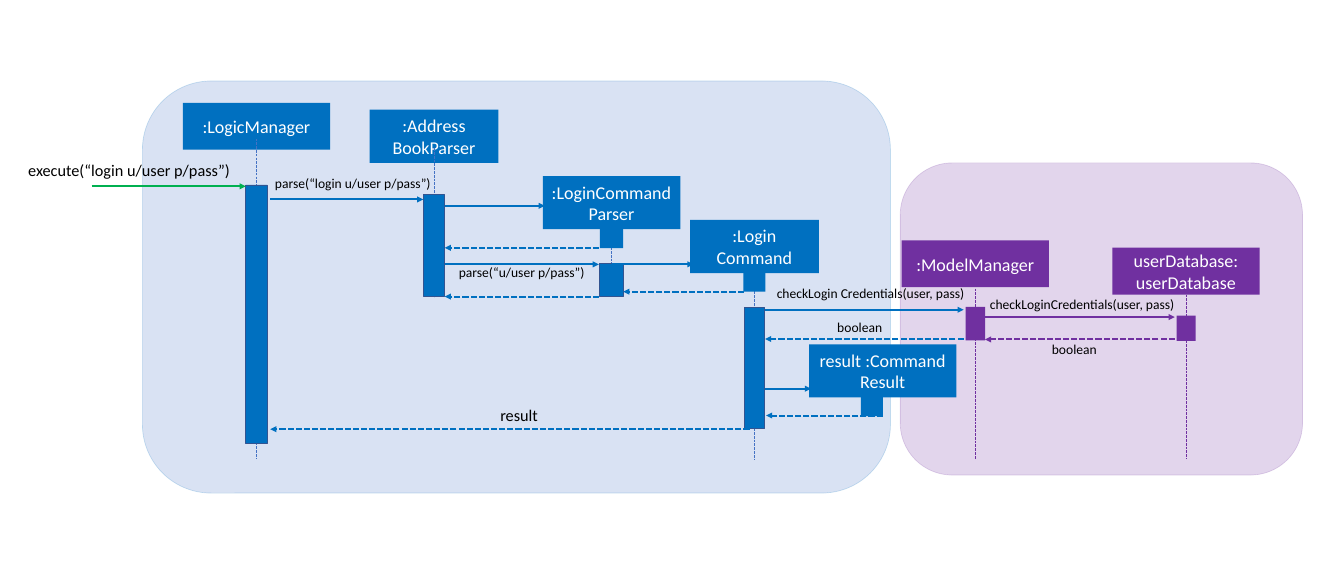
from lxml.etree import SubElement as Sub
from pptx import Presentation
from pptx.dml.color import RGBColor as RGB
from pptx.enum.dml import MSO_LINE as Dash
from pptx.enum.shapes import MSO_CONNECTOR as Conn, MSO_SHAPE as Kind
from pptx.enum.text import MSO_ANCHOR as Anchor, MSO_AUTO_SIZE as Auto, PP_ALIGN as Align
from pptx.oxml.ns import qn
from pptx.util import Inches as In, Pt

HUE = {"blue": "0070C0", "edge": "325491", "soft": "4472C4", "plum": "7030A0",
       "green": "00B050", "white": "FFFFFF", "black": "000000"}

deck = Presentation()
deck.slide_width, deck.slide_height = In(27.56), In(11.81)
slide = deck.slides.add_slide(deck.slide_layouts[6])
shapes = slide.shapes

# Columns: the centre of each lifeline; half is half a bar's width
log, book, par, cmd, res, mod, base = 5.26, 8.9, 12.54, 15.47, 18.1, 20, 24.32
half = 0.22
foot, mid = 9.41, 6.08  # rows where lifelines end


def block(kind, x, y, w, h, hue, edge=None):
    box = shapes.add_shape(kind, In(x), In(y), In(w), In(h))
    box.shadow.inherit = False
    box.fill.solid()
    box.fill.fore_color.rgb = RGB.from_string(HUE[hue])
    if edge:
        box.line.color.rgb = RGB.from_string(HUE[edge])
        box.line.width = Pt(1)
    else:
        box.line.fill.background()
    return box


def link(x1, y1, x2, y2, hue, width=3, dash=None, arrow=True):
    wire = shapes.add_connector(Conn.STRAIGHT, In(x1), In(y1), In(x2), In(y2))
    wire.line.color.rgb = RGB.from_string(HUE[hue])
    wire.line.width = Pt(width)
    if dash:
        wire.line.dash_style = dash
    if arrow:
        Sub(wire.line._get_or_add_ln(), qn("a:tailEnd"), type="triangle")
    Sub(wire._element.spPr, qn("a:effectLst"))
    return wire


# Zones, with the parser's lifeline behind its head
for x, y, w, h, hue, edge in [(18.46, 3.34, 8.25, 6.4, "plum", "plum"),
                              (2.92, 1.66, 15.34, 8.45, "soft", "blue")]:
    zone = block(Kind.ROUNDED_RECTANGLE, x, y, w, h, hue, edge)
    for tint in zone._element.spPr.iter(qn("a:srgbClr")):
        Sub(tint, qn("a:alpha"), val="20000")
link(par, 3.9, par, mid, "soft", 0.5, Dash.LONG_DASH, False)

# Heads: column, top, width, height, colour, lines
for x, y, w, h, hue, lines in [
    (log, 2.11, 3.02, 0.96, "blue", [":LogicManager"]),
    (book, 2.25, 2.64, 1.09, "blue", [":Address", "BookParser"]),
    (par, 3.61, 2.82, 1.09, "blue", [":LoginCommandParser"]),
    (cmd, 4.51, 2.64, 1.09, "blue", [":Login", "Command"]),
    (res, 7.06, 3.02, 1.09, "blue", ["result :CommandResult"]),
    (mod, 4.93, 3.02, 0.96, "plum", [":ModelManager"]),
    (base, 5.08, 3.02, 0.96, "plum", ["userDatabase:", "userDatabase"]),
]:
    head = block(Kind.RECTANGLE, x - w / 2, y, w, h, hue)
    frame = head.text_frame
    frame.word_wrap = True
    frame.vertical_anchor = Anchor.MIDDLE
    frame.margin_left = frame.margin_right = In(0.15)
    frame.margin_top = frame.margin_bottom = In(0.07)
    frame.text = "\n".join(lines)
    for para in frame.paragraphs:
        para.alignment = Align.CENTER
        para.font.size, para.font.name = Pt(26.6), "Calibri"
        para.font.color.rgb = RGB.from_string(HUE["white"])

# Lifelines; the last one hangs from the last head
for x, top, end, hue in [(log, 2.84, foot, "soft"), (book, 3.04, mid, "soft"),
                         (cmd, 5.74, foot, "soft"), (mod, 5.76, foot, "plum"),
                         (base, 6.04, foot, "plum")]:
    life = link(x, top, x, end, hue, 0.5, Dash.LONG_DASH, False)
life.begin_connect(head, 2)

# Activation bars: centre, top, width, height, colour, edge
for x, y, w, h, hue, edge in [
    (log, 3.79, 0.45, 5.3, "blue", "edge"),
    (book, 3.99, 0.42, 2.09, "blue", "edge"),
    (par, 4.7, 0.48, 0.39, "blue", None),
    (par, 5.4, 0.48, 0.68, "blue", "edge"),
    (cmd, 5.59, 0.45, 0.39, "blue", None),
    (cmd, 6.3, 0.42, 2.49, "blue", "edge"),
    (res - half, 8.14, 0.45, 0.39, "blue", None),
    (mod, 6.29, 0.4, 0.69, "plum", None),
    (base, 6.47, 0.39, 0.52, "plum", None),
]:
    block(Kind.RECTANGLE, x - w / 2, y, w, h, hue, edge)

# Calls: start, end, row, colour
for x1, x2, y, hue in [
    (1.88, log - half, 3.82, "green"),
    (log + 0.28, book - half, 4.09, "blue"),
    (book + half, 11.17, 4.22, "blue"),
    (book + half, par - 0.26, 5.42, "blue"),
    (par, 14.22, 5.42, "blue"),
    (cmd + half, mod - 0.24, 6.35, "blue"),
    (cmd + half, 16.63, 7.97, "blue"),
    (mod + 0.12, base - 0.23, 6.5, "plum"),
]:
    link(x1, y, x2, y, hue)

# Returns: start, end, row, colour
for x1, x2, y, hue in [
    (par - 0.26, book + half, 5.08, "blue"),
    (par - 0.26, book + half, mid, "blue"),
    (cmd - half, par + 0.24, 5.98, "blue"),
    (mod - 0.24, cmd + half, 6.95, "blue"),
    (res, cmd + 0.24, 8.52, "blue"),
    (cmd - 0.1, log + 0.28, 8.8, "blue"),
    (base - 0.23, mod + 0.2, 6.96, "plum"),
]:
    link(x1, y, x2, y, hue, dash=Dash.SQUARE_DOT)

# Message labels: left, top, width, size, words
for x, y, w, size, words in [
    (0.48, 3.24, 4.54, 24, "execute(“login u/user p/pass”)"),
    (5.54, 3.53, 3.45, 20, "parse(“login u/user p/pass”)"),
    (9.31, 5.37, 3.45, 20, "parse(“u/user p/pass”)"),
    (15.83, 5.8, 4.1, 20, "checkLogin Credentials(user, pass)"),
    (20.2, 6.01, 4.1, 20, "checkLoginCredentials(user, pass)"),
    (17.07, 6.5, 1.35, 20, "boolean"),
    (21.47, 6.95, 1.35, 20, "boolean"),
    (10.16, 8.26, 3.45, 24, "result"),
]:
    note = shapes.add_textbox(In(x), In(y), In(w), In(size / 60 + 0.1)).text_frame
    note.word_wrap = True
    note.auto_size = Auto.SHAPE_TO_FIT_TEXT
    note.text = words
    font = note.paragraphs[0].font
    font.size, font.name = Pt(size), "Calibri"
    font.color.rgb = RGB.from_string(HUE["black"])

deck.save("out.pptx")
